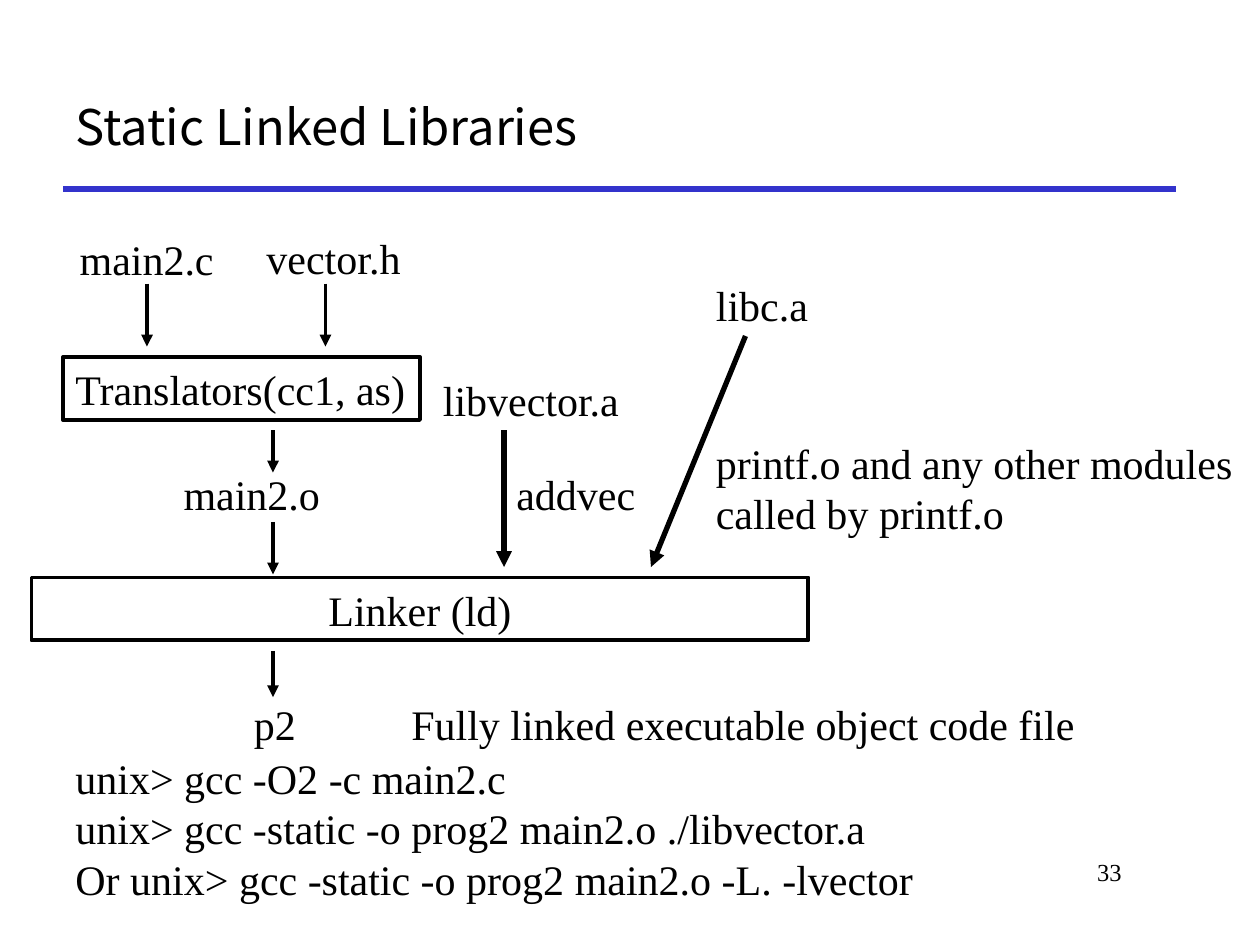
"""Build the slide on how static libraries are linked into an executable."""
from typing import NamedTuple

from lxml import etree
from pptx import Presentation
from pptx import util as u
from pptx.dml.color import RGBColor
from pptx.enum import shapes, text
from pptx.oxml.ns import qn

EMU_PER_PX = 7620
COLORS = {"ink": "000000", "rule": "3333CC"}
BODY_FONT = "Times New Roman"
TITLE_FONT = "Noto Sans CJK KR"


class Label(NamedTuple):
    words: str
    x: int
    y: int
    w: int
    h: int = 61
    wrap: bool = True


class Stage(NamedTuple):
    words: str
    x: int
    y: int
    w: int
    h: int
    align: text.PP_ALIGN


class Arrow(NamedTuple):
    x1: int
    y1: int
    x2: int
    y2: int
    weight: float = 2.25


LABELS = [
    Label("main2.c", 64, 216, 152, wrap=False),
    Label("vector.h", 242, 215, 154, wrap=False),
    Label("main2.o", 163, 440, 155, wrap=False),
    Label("p2", 230, 659, 65, wrap=False),
    Label("libvector.a", 410, 350, 200),
    Label("Fully linked executable object code file", 380, 659, 720),
    Label("libc.a", 670, 260, 180),
    Label("addvec", 480, 440, 190),
    Label("printf.o and any other modules called by printf.o", 670, 410, 530, 109),
    Label("unix> gcc -O2 -c main2.c\n"
          "unix> gcc -static -o prog2 main2.o ./libvector.a\n"
          "Or unix> gcc -static -o prog2 main2.o -L. -lvector", 60, 710, 1060, 157),
]
STAGES = [
    Stage("Translators(cc1, as)", 60, 340, 340, 60, text.PP_ALIGN.LEFT),
    Stage("Linker (ld)", 30, 550, 740, 60, text.PP_ALIGN.CENTER),
]
ARROWS = [
    Arrow(140, 270, 140, 330),
    Arrow(310, 270, 310, 330),
    Arrow(260, 410, 260, 450),
    Arrow(260, 497, 260, 547),
    Arrow(260, 620, 260, 664),
    Arrow(480, 410, 480, 540, 3),
    Arrow(710, 320, 620, 540, 3),
]


def px(length: int) -> u.Emu:
    """Turn pixels into EMU."""
    return u.Emu(length * EMU_PER_PX)


def color(name: str) -> RGBColor:
    """Look up a named colour."""
    return RGBColor.from_string(COLORS[name])


def write(shape, words: str, *, size: int = 24, font: str = BODY_FONT,
          align: text.PP_ALIGN = text.PP_ALIGN.LEFT,
          anchor: text.MSO_ANCHOR = text.MSO_ANCHOR.TOP,
          leading: int | None = 29, wrap: bool = True) -> None:
    """Fill a shape with one paragraph per line of words."""
    frame = shape.text_frame
    frame.word_wrap = wrap
    frame.vertical_anchor = anchor
    frame.text = words
    for paragraph in frame.paragraphs:
        paragraph.alignment = align
        if leading:
            paragraph.line_spacing = u.Pt(leading)
        for run in paragraph.runs:
            run.font.size = u.Pt(size)
            run.font.name = font
            run.font.color.rgb = color("ink")


def add_label(slide, label: Label, **style) -> None:
    """Place free text."""
    box = slide.shapes.add_textbox(*map(px, label[1:5]))
    write(box, label.words, wrap=label.wrap, **style)


def add_stage(slide, stage: Stage) -> None:
    """Draw an outlined build stage."""
    box = slide.shapes.add_shape(shapes.MSO_SHAPE.RECTANGLE, *map(px, stage[1:5]))
    box.shadow.inherit = False
    box.fill.background()
    box.line.color.rgb = color("ink")
    box.line.width = u.Pt(2.25)
    write(box, stage.words, align=stage.align)


def add_line(slide, route: Arrow, tint: str = "ink", head: bool = True) -> None:
    """Draw a straight line, with an arrowhead at its end if wanted."""
    line = slide.shapes.add_connector(shapes.MSO_CONNECTOR.STRAIGHT, *map(px, route[:4]))
    line.line.color.rgb = color(tint)
    line.line.width = u.Pt(route.weight)
    if head:
        etree.SubElement(line.line._get_or_add_ln(), qn("a:tailEnd"), type="triangle")
    etree.SubElement(line._element.spPr, qn("a:effectLst"))


def main() -> None:
    """Build and save the slide."""
    deck = Presentation()
    deck.slide_width, deck.slide_height = px(1200), px(900)
    slide = deck.slides.add_slide(deck.slide_layouts[6])
    add_line(slide, Arrow(60, 180, 1120, 180, 3), tint="rule", head=False)
    add_label(slide, Label("Static Linked Libraries", 60, 60, 1060, 120), size=28,
              font=TITLE_FONT, anchor=text.MSO_ANCHOR.MIDDLE, leading=None)
    add_label(slide, Label("33", 910, 810, 170, 60), size=14,
              align=text.PP_ALIGN.RIGHT, leading=17)
    for stage in STAGES:
        add_stage(slide, stage)
    for label in LABELS:
        add_label(slide, label)
    for arrow in ARROWS:
        add_line(slide, arrow)
    deck.save("out.pptx")


if __name__ == "__main__":
    main()
